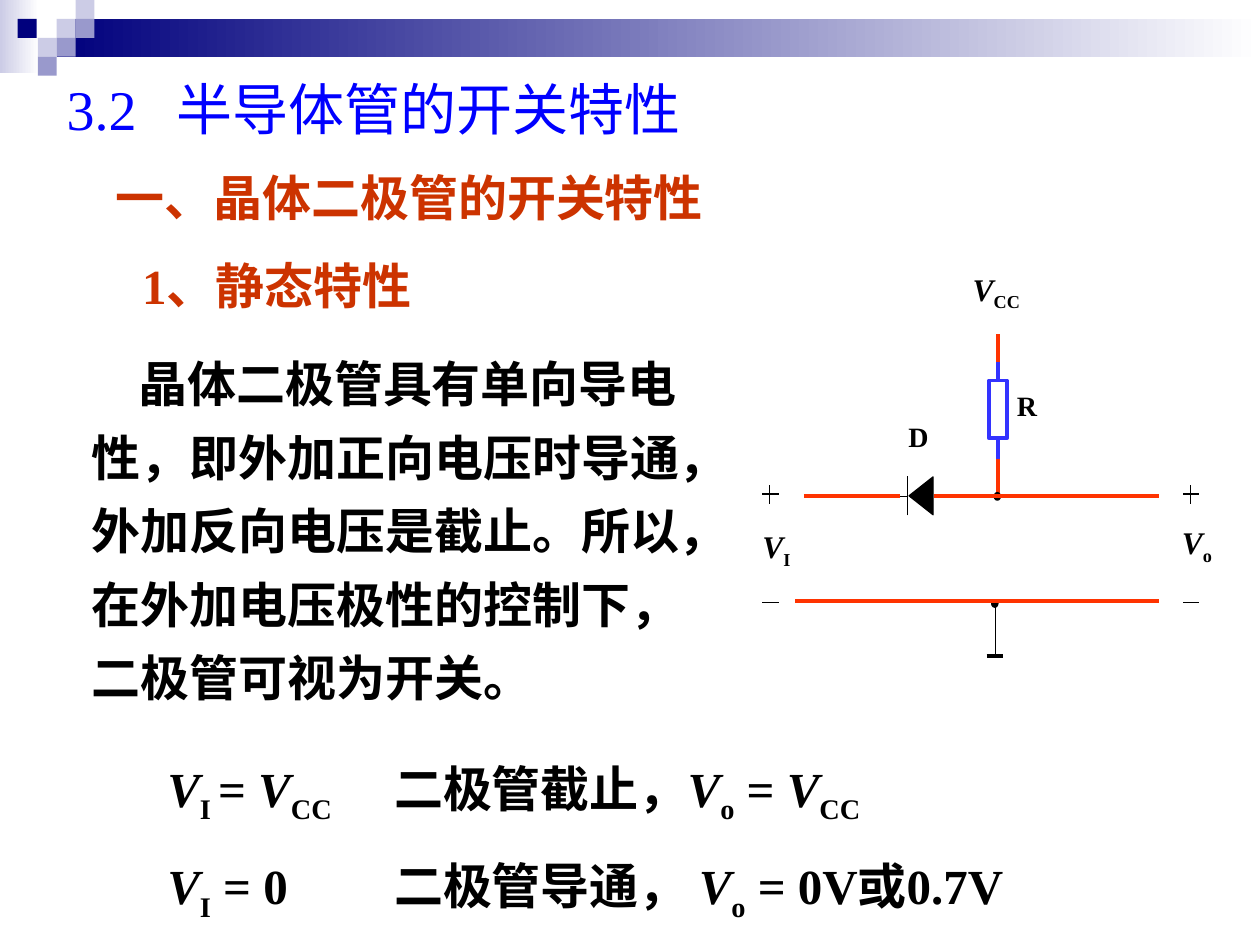
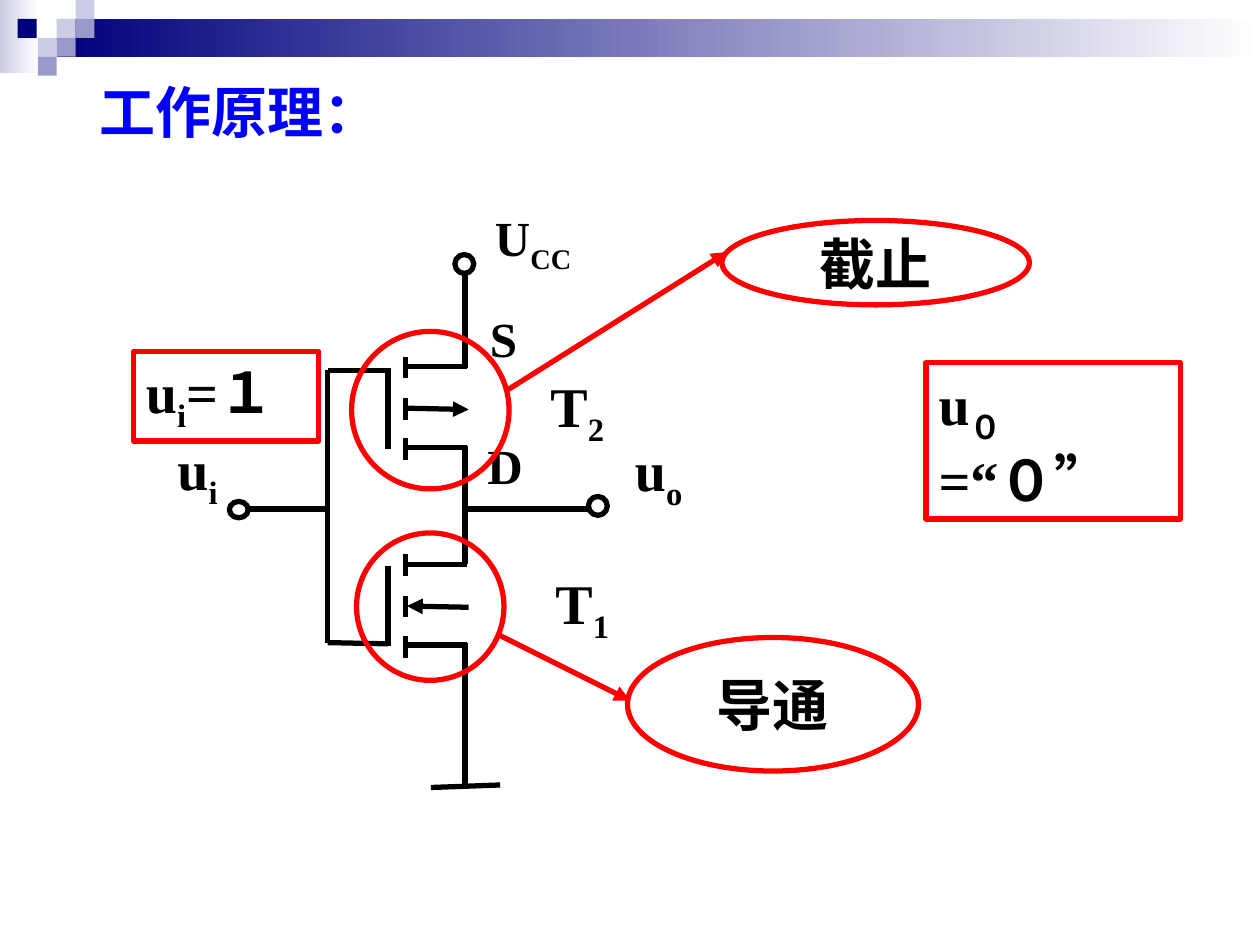
from dataclasses import dataclass

from lxml.etree import SubElement
from pptx import Presentation
from pptx.dml.color import RGBColor
from pptx.enum.shapes import MSO_CONNECTOR as Connector, MSO_SHAPE as Preset
from pptx.enum.text import MSO_ANCHOR as Anchor, PP_ALIGN as Align
from pptx.oxml.ns import qn
from pptx.util import Pt

PX = 9144
WIDTH, HEIGHT = 1000, 750


class Theme:
    """Colours, fonts, type sizes and line widths of the deck."""
    WHITE, BLACK = "FFFFFF", "000000"
    NAVY, LILAC, VIOLET = "00007D", "CCCCE6", "9999CC"
    TITLE, HEADING, MARK = "0000FF", "CC3300", "FF0000"
    WIRE, RESISTOR = "FF3300", "3333FF"
    LATIN, SANS, CJK = "Times New Roman", "Arial", "Noto Sans CJK SC"
    TITLE_SIZE, BODY_SIZE, LABEL_SIZE, PART_SIZE = 32, 28, 18, 16
    THIN, MEDIUM, THICK = 0.75, 2.25, 3


@dataclass
class Span:
    """A piece of text in one style."""
    text: str
    italic: bool = False
    sub: bool = False
    font: str = Theme.LATIN


def symbol(letter, sub, italic=False):
    """Return the spans of a quantity with its subscript."""
    return [Span(letter, italic), Span(sub, sub=True)]


def volt(sub):
    """Return the spans of an italic V with its subscript."""
    return symbol("V", sub, italic=True)


def rgb(color):
    """Turn a hex string into a colour."""
    return RGBColor.from_string(color)


def style_span(run, span, size, color, bold):
    """Apply a span's style to a run."""
    font = run.font
    font.size, font.bold, font.italic = Pt(size), bold, span.italic
    font.name = span.font
    font.color.rgb = rgb(color)
    props = run._r.get_or_add_rPr()
    if span.sub:
        props.set("baseline", "-25000")
    SubElement(props, qn("a:ea")).set("typeface", Theme.CJK)


def write(box, rows, size, color=Theme.BLACK, bold=True, align=Align.LEFT,
          anchor=Anchor.TOP, inset=(10, 5), wrap=True, tab=0, indent=0, spacing=None):
    """Fill a shape with rows of spans, one paragraph a row."""
    frame = box.text_frame
    frame.word_wrap, frame.vertical_anchor = wrap, anchor
    frame.margin_left = frame.margin_right = inset[0] * PX
    frame.margin_top = frame.margin_bottom = inset[1] * PX
    for index, row in enumerate(rows):
        para = frame.add_paragraph() if index else frame.paragraphs[0]
        props = para._p.get_or_add_pPr()
        if tab:
            stop = SubElement(SubElement(props, qn("a:tabLst")), qn("a:tab"))
            stop.set("pos", str(tab * PX))
            stop.set("algn", "l")
        if indent:
            props.set("marL", "0")
            props.set("indent", str(indent * PX))
        para.alignment = align
        if spacing:
            para.line_spacing = spacing
        if index:
            para.space_before = Pt(17.5)
        for span in row:
            run = para.add_run()
            run.text = span.text
            style_span(run, span, size, color, bold)


class Region:
    """A part of a page that places shapes from its own corner."""

    def __init__(self, page, left, top):
        """Remember the page and the corner."""
        self.shapes, self.left, self.top = page.shapes, left, top

    def point(self, x, y):
        """Turn region px into page EMU."""
        return int((self.left + x) * PX), int((self.top + y) * PX)

    def shape(self, preset, x, y, width, height, fill=None, line=None, weight=Theme.THICK):
        """Add a preset shape with a plain fill and outline."""
        box = self.shapes.add_shape(preset, *self.point(x, y), width * PX, height * PX)
        box.shadow.inherit = False
        if fill:
            box.fill.solid()
            box.fill.fore_color.rgb = rgb(fill)
        else:
            box.fill.background()
        if line:
            box.line.color.rgb = rgb(line)
            box.line.width = Pt(weight)
        else:
            box.line.fill.background()
        return box

    def fade(self, x, y, width, height, color):
        """Add a rectangle that fades to white on the right."""
        box = self.shape(Preset.RECTANGLE, x, y, width, height)
        box.fill.gradient()
        box.fill.gradient_angle = 0
        for stop, shade, position in zip(box.fill.gradient_stops, (color, Theme.WHITE), (0, 1)):
            stop.color.rgb = rgb(shade)
            stop.position = position

    def line(self, x1, y1, x2, y2, color=Theme.BLACK, weight=Theme.THICK, arrow=False):
        """Add a straight line, with an arrowhead at its end if asked."""
        line = self.shapes.add_connector(
            Connector.STRAIGHT, *self.point(x1, y1), *self.point(x2, y2))
        line.line.color.rgb = rgb(color)
        line.line.width = Pt(weight)
        if arrow:
            SubElement(line.line._get_or_add_ln(), qn("a:tailEnd")).set("type", "triangle")
        SubElement(line._element.spPr, qn("a:effectLst"))
        return line

    def text(self, x, y, width, height, rows, size, **options):
        """Add a text box."""
        box = self.shapes.add_textbox(*self.point(x, y), width * PX, height * PX)
        write(box, rows, size, **options)

    def tag(self, x, y, width, height, spans, size):
        """Add a white label without margins."""
        box = self.shape(Preset.RECTANGLE, x, y, width, height, Theme.WHITE)
        write(box, [spans], size, inset=(0, 0))


def draw_header(region):
    """Draw the fading band and the chequered corner."""
    region.fade(0, 0, 31, 58, Theme.LILAC)
    region.fade(45, 15, WIDTH - 45, 30, Theme.NAVY)
    squares = [(45, 15, Theme.LILAC), (60, 0, Theme.LILAC), (60, 15, Theme.VIOLET),
               (30, 30, Theme.LILAC), (14, 15, Theme.NAVY), (45, 30, Theme.VIOLET),
               (30, 45, Theme.VIOLET)]
    for x, y, color in squares:
        region.shape(Preset.RECTANGLE, x, y, 15, 15, color)


def draw_title(region, spans, width, bold, tab=0):
    """Write the blue title."""
    region.text(0, 0, width, 64, [spans], Theme.TITLE_SIZE,
                color=Theme.TITLE, bold=bold, tab=tab)


def draw_diode_circuit(region):
    """Draw the diode switch with its supply, terminals and ground."""
    wire = dict(color=Theme.WIRE, weight=Theme.MEDIUM)
    thin = dict(weight=Theme.THIN)
    lead = dict(color=Theme.RESISTOR, weight=Theme.MEDIUM)
    region.line(192, 193, 192, 151, **wire)
    resistor = region.shape(Preset.RECTANGLE, 185, 102, 14, 46, Theme.WHITE,
                            Theme.RESISTOR, Theme.MEDIUM)
    region.line(192, 148, 192, 164, **lead).begin_connect(resistor, 2)
    region.line(192, 102, 192, 87, **lead).begin_connect(resistor, 0)
    region.line(192, 87, 192, 65, **wire)
    region.line(190, 278, 190, 321, **thin)
    region.line(183, 321, 196, 321, weight=Theme.MEDIUM)
    for x, y in [(189, 191), (187, 276)]:
        region.shape(Preset.OVAL, x, y, 5, 6, Theme.BLACK, Theme.BLACK, Theme.THIN)

    region.tag(172, 14, 43, 37, volt("CC"), Theme.LABEL_SIZE)
    region.tag(207, 108, 41, 42, [Span("R")], Theme.PART_SIZE)
    region.tag(121, 133, 28, 30, [Span("D")], Theme.PART_SIZE)
    region.tag(338, 215, 41, 43, volt("o"), Theme.LABEL_SIZE)
    region.tag(5, 218, 41, 43, volt("I"), Theme.LABEL_SIZE)
    for x in (5, 339):
        region.line(x, 192, x + 13, 192, **thin)
        region.line(x + 6, 185, x + 6, 200, **thin)
        region.line(x, 278, x + 13, 278, **thin)

    diode = region.shape(Preset.ISOSCELES_TRIANGLE, 116, 184, 30, 19,
                         Theme.BLACK, Theme.BLACK, Theme.THIN)
    diode.rotation = 270
    region.line(120, 194, 113, 194, **thin)
    region.line(120, 209, 120, 178, **thin)
    region.line(31, 277, 320, 277, **wire)
    region.line(141, 194, 320, 194, **wire)
    region.line(38, 194, 114, 194, **wire)


def draw_transistor(region, outward):
    """Draw a MOS transistor whose substrate arrow points out or in."""
    region.line(0, 9, 0, 73)
    for y in (0, 33, 65):
        region.line(14, y, 14, y + 17)
    for y in (8, 72):
        region.line(15, y, 63, y)
    ends = [(15, 41), (64, 42)] if outward else [(64, 42), (15, 41)]
    region.line(*ends[0], *ends[1], arrow=True)


def draw_inverter(page, left, top):
    """Draw the inverter with its wires, terminals and labels."""
    region = Region(page, left, top)
    for y, outward in [(133, True), (290, False)]:
        draw_transistor(Region(page, left + 208, top + y), outward)
    wires = [(160, 144, 208, 144), (160, 360, 208, 361), (160, 144, 160, 360),
             (97, 254, 160, 254), (269, 142, 269, 67), (269, 204, 269, 298),
             (269, 360, 269, 473), (242, 475, 297, 473), (269, 254, 367, 254)]
    for wire in wires:
        region.line(*wire)
    for x, y, height in [(82, 248, 13), (261, 52, 15), (367, 244, 15)]:
        region.shape(Preset.OVAL, x, y, 15, height, line=Theme.BLACK)

    small, large = Theme.BODY_SIZE, Theme.TITLE_SIZE
    labels = [(283, 10, 115, symbol("U", "CC"), small), (279, 90, 106, [Span("S")], small),
              (277, 191, 106, [Span("D")], small), (327, 140, 104, symbol("T", "2"), large),
              (331, 296, 104, symbol("T", "1"), large), (31, 190, 65, symbol("u", "i"), large),
              (394, 191, 65, symbol("u", "o"), large)]
    for x, y, width, spans, size in labels:
        region.text(x, y, width, 2 * size + 4, [spans], size)


def draw_state(region, ring, arrow, bubble, state):
    """Ring a transistor and point to a bubble that names its state."""
    x, y, size = ring
    region.shape(Preset.OVAL, x, y, size, size, line=Theme.MARK)
    region.line(*arrow, color=Theme.MARK, arrow=True)
    box = region.shape(Preset.OVAL, *bubble, line=Theme.MARK)
    write(box, [[Span(state)]], Theme.TITLE_SIZE, align=Align.CENTER,
          anchor=Anchor.MIDDLE, wrap=False)


def draw_level(region, width, height, spans):
    """Write a logic level in a red frame."""
    box = region.shape(Preset.RECTANGLE, 0, 0, width, height, line=Theme.MARK)
    write(box, [spans], Theme.TITLE_SIZE)


def add_page(deck):
    """Add a blank page with the shared header."""
    page = deck.slides.add_slide(deck.slide_layouts[6])
    draw_header(Region(page, 0, 0))
    return page


def build_diode_page(deck):
    """Build the page on the static behaviour of the diode."""
    page = add_page(deck)
    draw_diode_circuit(Region(page, 600, 200))
    region = Region(page, 0, 0)
    size = Theme.BODY_SIZE
    region.text(123, 597, 764, 141, [
        [*volt("I "), Span("= "), *volt("CC"), Span("\t二极管截止，"),
         *volt("o"), Span(" = "), *volt("CC")],
        [*volt("I"), Span(" = 0\t二极管导通， "), *volt("o"), Span(" = 0V或0.7V")],
    ], size, tab=180)
    region.text(63, 264, 512, 302, [[Span(
        "晶体二极管具有单向导电性，即外加正向电压时导通，外加反向电压是截止。"
        "所以，在外加电压极性的控制下，二极管可视为开关。", font=Theme.CJK)]],
        size, indent=37, spacing=1.25)
    region.text(103, 198, 331, 57, [[Span("1"), Span("、静态特性", font=Theme.SANS)]],
                size, color=Theme.HEADING)
    region.text(82, 128, 576, 57, [[Span("一、晶体二极管的开关特性", font=Theme.SANS)]],
                size, color=Theme.HEADING)
    draw_title(Region(page, 43, 54),
               [Span("3.2\t"), Span("半导体管的开关特性", font=Theme.CJK)], 572, False, tab=87)


def build_inverter_page(deck):
    """Build the page on how the inverter works."""
    page = add_page(deck)
    draw_inverter(page, 100, 150)
    draw_level(Region(page, 106, 279), 147, 71, [*symbol("u", "i"), Span("=１")])
    region = Region(page, 270, 170)
    draw_state(region, (13, 253, 117), (126, 334, 230, 386), (228, 336, 231, 106), "导通")
    draw_state(region, (9, 93, 125), (132, 140, 307, 30), (303, 5, 244, 67), "截止")
    draw_level(Region(page, 735, 288), 202, 124, [*symbol("u", "０"), Span("=“０”")])
    draw_title(Region(page, 69, 57), [Span("工作原理：")], 246, True)


def main():
    """Build the deck and save it."""
    deck = Presentation()
    deck.slide_width, deck.slide_height = WIDTH * PX, HEIGHT * PX
    build_diode_page(deck)
    build_inverter_page(deck)
    deck.save("out.pptx")


if __name__ == "__main__":
    main()
